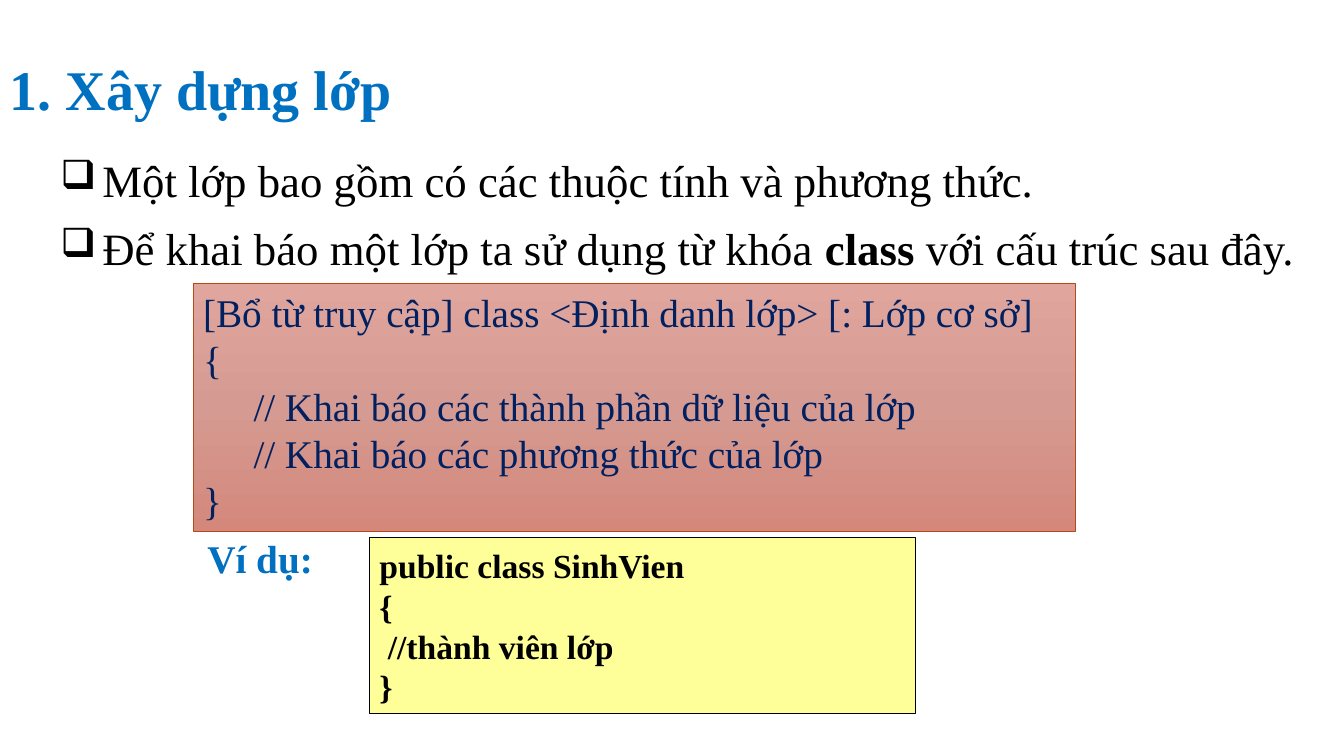
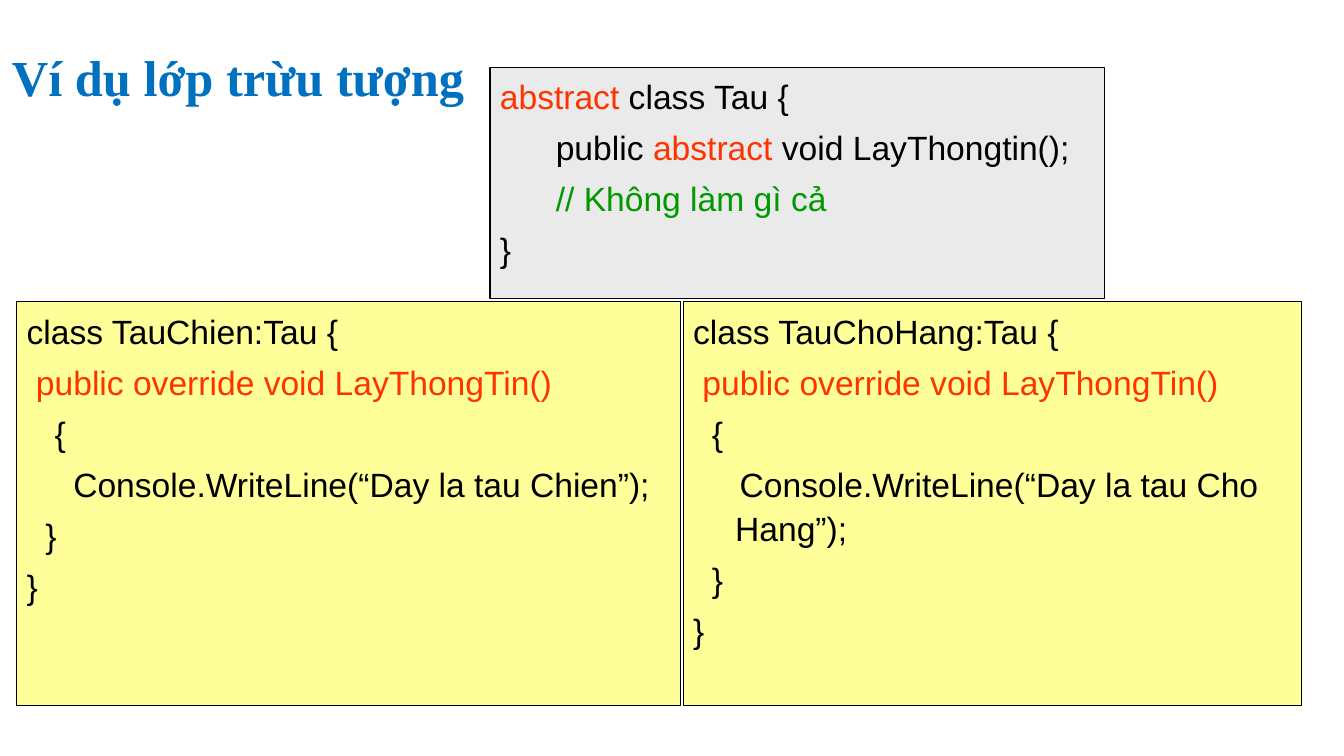
from copy import deepcopy

from lxml import etree
from pptx import Presentation
from pptx.dml.color import RGBColor
from pptx.enum.shapes import MSO_SHAPE
from pptx.enum.text import MSO_ANCHOR, PP_ALIGN
from pptx.oxml.ns import qn
from pptx.util import Pt

RECT = MSO_SHAPE.RECTANGLE
TOP, MIDDLE = MSO_ANCHOR.TOP, MSO_ANCHOR.MIDDLE
LEFT = PP_ALIGN.LEFT

SERIF, SANS = "Times New Roman", "Arial"
COLORS = {
    "ink": "000000",
    "blue": "0070C0",
    "navy": "002060",
    "red": "FF3300",
    "green": "009900",
    "yellow": "FFFF99",
    "gray": "EAEAEA",
    "rust": "B74919",
    "rose1": "E0A69E",
    "rose2": "D59A91",
    "rose3": "D4887C",
}
ROSE = ("rose1", "rose2", "rose3")
HANG = 30


def color(name):
    return RGBColor.from_string(COLORS[name])


class Deck:
    """Holds the shared style and the slide being built."""

    def __init__(self):
        self.prs = Presentation()
        self.prs.slide_width, self.prs.slide_height = Pt(960), Pt(540)
        self.slide = None

    def page(self):
        self.slide = self.prs.slides.add_slide(self.prs.slide_layouts[6])

    def fill_text(self, shape, lines, size, font=SERIF, ink="ink", bold=False,
                  anchor=TOP, space=1, hang=False, bullet=None):
        """Fill a shape; a line is a string or a list of (text, colour, bold)."""
        frame = shape.text_frame
        frame.word_wrap = True
        frame.vertical_anchor = anchor
        for i, line in enumerate(lines):
            par = frame.paragraphs[0] if i == 0 else frame.add_paragraph()
            par.alignment = LEFT
            par.line_spacing = space
            if hang:
                par.space_before = Pt(size * 0.2 if i else 0)
                self.indent(par, HANG, -HANG)
            if bullet:
                self.bullet(par, bullet)
            runs = [(line, ink, bold)] if isinstance(line, str) else line
            for text, tint, heavy in runs:
                run = par.add_run()
                run.text = text
                run.font.name = font
                run.font.size = Pt(size)
                run.font.bold = heavy
                run.font.color.rgb = color(tint)
        return frame

    def indent(self, par, left, first=0):
        props = par._p.get_or_add_pPr()
        props.set("marL", str(Pt(left)))
        props.set("indent", str(Pt(first)))

    def bullet(self, par, char):
        props = par._p.get_or_add_pPr()
        etree.SubElement(props, qn("a:buSzPct")).set("val", "90000")
        etree.SubElement(props, qn("a:buChar")).set("char", char)

    def text(self, box, lines, size, **style):
        shape = self.slide.shapes.add_textbox(*map(Pt, box))
        return self.fill_text(shape, lines, size, **style)

    def title(self, box, words, size):
        self.text(box, [words], size, ink="blue", bold=True,
                  anchor=MIDDLE, space=0.9)

    def panel(self, box, fill, lines, size, edge="ink", width=0.75, **style):
        """Draw a framed box; a tuple of fill colours gives a gradient."""
        shape = self.slide.shapes.add_shape(RECT, *map(Pt, box))
        shape.shadow.inherit = False
        if isinstance(fill, tuple):
            self.blend(shape, fill)
        else:
            shape.fill.solid()
            shape.fill.fore_color.rgb = color(fill)
        shape.line.color.rgb = color(edge)
        shape.line.width = Pt(width)
        return self.fill_text(shape, lines, size, **style)

    def blend(self, shape, names):
        """Apply an evenly spaced gradient from top to bottom."""
        shape.fill.gradient()
        shape.fill.gradient_angle = 270
        stops = shape._element.spPr.find(qn("a:gradFill")).find(qn("a:gsLst"))
        for _ in names[2:]:
            stops.append(deepcopy(stops[0]))
        for i, stop in enumerate(shape.fill.gradient_stops):
            stop.position = i / (len(names) - 1)
            stop.color.rgb = color(names[i])

    def code(self, box, fill, lines):
        self.panel(box, fill, lines, 24, font=SANS, space=1.1, hang=True)


def build(deck):
    deck.page()
    deck.title((0, 43, 621, 46), "1. Xây dựng lớp", 40)
    deck.text((36, 102, 906, 390), [
        "Một lớp bao gồm có các thuộc tính và phương thức.",
        [("Để khai báo một lớp ta sử dụng từ khóa ", "ink", False),
         ("class ", "ink", True),
         ("với cấu trúc sau đây.", "ink", False)],
    ], 32, space=1.1, hang=True, bullet="❑")
    frame = deck.panel((138, 202.5, 630, 177), ROSE, [
        "[Bổ từ truy cập] class <Định danh lớp> [: Lớp cơ sở]",
        "{",
        "// Khai báo các thành phần dữ liệu của lớp",
        "// Khai báo các phương thức của lớp",
        "}",
    ], 28, edge="rust", width=0.5, ink="navy")
    for par in frame.paragraphs[2:4]:
        deck.indent(par, 36)
    deck.text((141, 378, 129, 41), ["Ví dụ:"], 28, ink="blue", bold=True)
    deck.panel((264, 384, 390, 126), "yellow", [
        "public class SinhVien",
        "{",
        " //thành viên lớp",
        "}",
    ], 24, bold=True, anchor=MIDDLE)

    deck.page()
    deck.code((350, 48, 439, 165), "gray", [
        [("abstract", "red", False), (" class Tau {", "ink", False)],
        [("      public ", "ink", False), ("abstract", "red", False),
         (" void LayThongtin();", "ink", False)],
        [("      // Không làm gì cả", "green", False)],
        "}",
    ])
    ships = [
        (12, 474, "TauChien", "   {", "Chien"),
        (488, 441.5, "TauChoHang", "  {", "Cho Hang"),
    ]
    for left, width, name, brace, kind in ships:
        deck.code((left, 215.5, width, 288.5), "yellow", [
            f"class {name}:Tau {{",
            [(" public override void LayThongTin()", "red", False)],
            brace,
            f"     Console.WriteLine(“Day la tau {kind}”);",
            "  }",
            "}",
        ])
    deck.title((1.5, 36, 540, 42), "Ví dụ lớp trừu tượng", 36)


def main():
    deck = Deck()
    build(deck)
    deck.prs.save("out.pptx")


if __name__ == "__main__":
    main()
